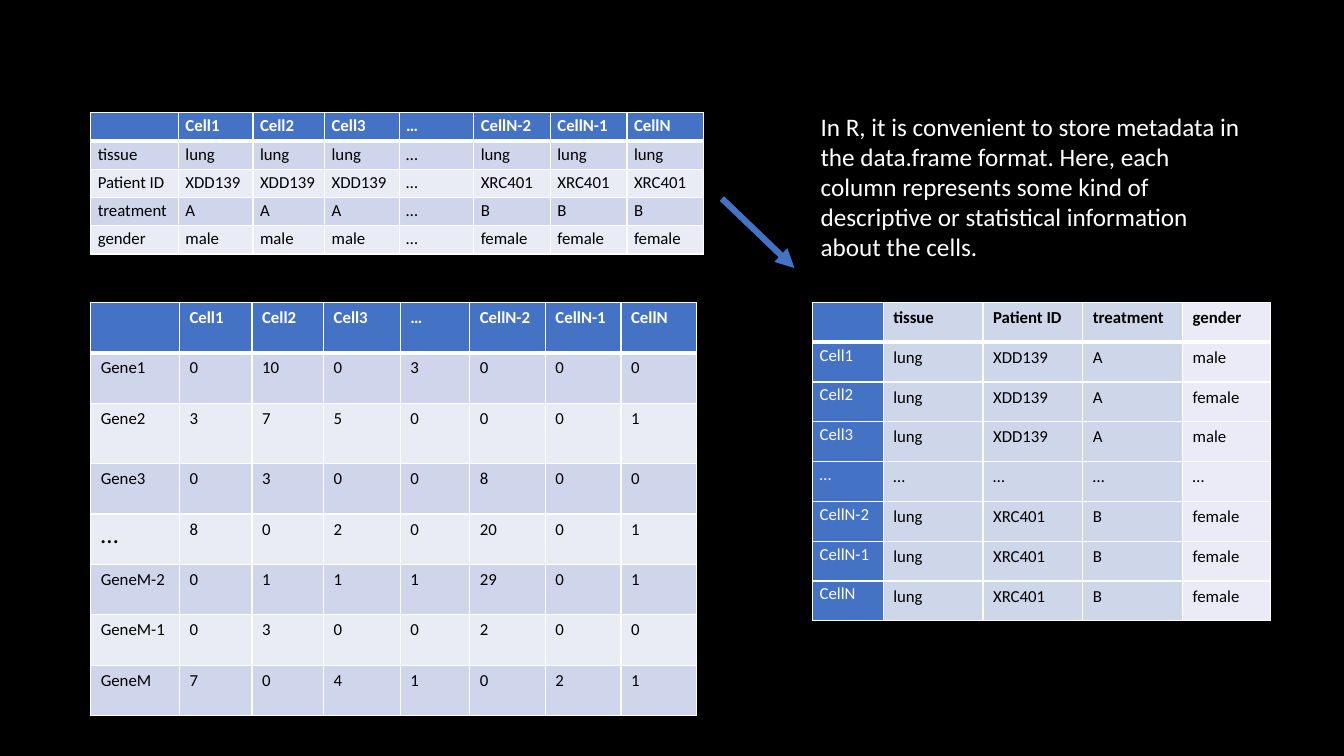
from dataclasses import dataclass

from lxml import etree
from pptx import Presentation
from pptx.dml.color import RGBColor
from pptx.enum.shapes import MSO_CONNECTOR
from pptx.enum.text import MSO_AUTO_SIZE
from pptx.oxml.ns import qn
from pptx.util import Inches, Pt

STRAIGHT = MSO_CONNECTOR.STRAIGHT
GROW = MSO_AUTO_SIZE.SHAPE_TO_FIT_TEXT


@dataclass(frozen=True)
class Theme:
    font: str = "Calibri"
    back: str = "000000"
    dark: str = "000000"
    light: str = "FFFFFF"
    blue: str = "4472C4"
    bands: tuple = ("E9EBF5", "CFD5EA")
    cols: tuple = ("EAEBF6", "CED6EA")
    small: int = 12
    large: int = 18
    thin: int = 1
    thick: int = 3
    arrow: float = 4.5


THEME = Theme()
WIDE = (0.1, 0.05)
TIGHT = (0.07, 0.03)

CELLS = ["Cell1", "Cell2", "Cell3", "…", "CellN-2", "CellN-1", "CellN"]
META = [
    ["", *CELLS],
    ["tissue", *["lung"] * 3, "…", *["lung"] * 3],
    ["Patient ID", *["XDD139"] * 3, "…", *["XRC401"] * 3],
    ["treatment", *"AAA", "…", *"BBB"],
    ["gender", *["male"] * 3, "…", *["female"] * 3],
]
COUNTS = [
    ["", *CELLS],
    ["Gene1", 0, 10, 0, 3, 0, 0, 0],
    ["Gene2", 3, 7, 5, 0, 0, 0, 1],
    ["Gene3", 0, 3, 0, 0, 8, 0, 0],
    ["…", 8, 0, 2, 0, 20, 0, 1],
    ["GeneM-2", 0, 1, 1, 1, 29, 0, 1],
    ["GeneM-1", 0, 3, 0, 0, 2, 0, 0],
    ["GeneM", 7, 0, 4, 1, 0, 2, 1],
]
# The data frame is the metadata turned on its side, with its own gender values
FRAME = [list(row) for row in zip(*META)]
FRAME[2][4] = "female"

NOTE = ("In R, it is convenient to store metadata in the data.frame format. "
        "Here, each column represents some kind of descriptive or statistical "
        "information about the cells.")


def rgb(code):
    return RGBColor.from_string(code)


def style(run, size, color, bold=False):
    run.font.name = THEME.font
    run.font.size = Pt(size)
    run.font.color.rgb = rgb(color)
    run.font.bold = bold


def edge(cell, side, width):
    line = etree.SubElement(cell._tc.get_or_add_tcPr(), qn("a:ln" + side),
                            w=str(Pt(width)))
    fill = etree.SubElement(line, qn("a:solidFill"))
    etree.SubElement(fill, qn("a:srgbClr"), val=THEME.light)


def band_look(row, col):
    """Blue header row above banded rows: fill, text colour, bold."""
    if row == 0:
        return THEME.blue, THEME.light, True
    return THEME.bands[row % 2], THEME.dark, False


def frame_look(row, col):
    """Blue first column beside tinted columns: fill, text colour, bold."""
    if col == 0:
        return THEME.blue, THEME.light, False
    return THEME.cols[col < 4], THEME.dark, row == 0


def fill_cell(cell, value, row, look, pad, size):
    color, ink, bold = look
    cell.margin_left = cell.margin_right = Inches(pad[0])
    cell.margin_top = cell.margin_bottom = Inches(pad[1])
    for side in "LRTB":
        rule = (side == "B" and row == 0) or (side == "T" and row == 1)
        edge(cell, side, THEME.thick if rule else THEME.thin)
    cell.fill.solid()
    cell.fill.fore_color.rgb = rgb(color)
    cell.text_frame.text = str(value)
    para = cell.text_frame.paragraphs[0]
    for run in para.runs:
        style(run, size, ink, bold)
    if not para.runs:
        # An empty cell keeps the small type size, so its row stays low
        etree.SubElement(para._p, qn("a:endParaRPr"), sz=str(size * 100))


def add_grid(slide, left, top, widths, heights, data, look, head, body,
             dots=THEME.small):
    """head and body are the insets of the first column and of the rest."""
    table = slide.shapes.add_table(
        len(data), len(widths), Inches(left), Inches(top),
        Inches(sum(widths)), Inches(sum(heights))).table
    for col, width in enumerate(widths):
        table.columns[col].width = Inches(width)
    for row, values in enumerate(data):
        table.rows[row].height = Inches(heights[row])
        for col, value in enumerate(values):
            pad = head if col == 0 and row > 0 else body
            size = dots if col == 0 and value == "…" else THEME.small
            fill_cell(table.cell(row, col), value, row, look(row, col),
                      pad, size)


def add_arrow(slide, x1, y1, x2, y2):
    arrow = slide.shapes.add_connector(
        STRAIGHT, Inches(x1), Inches(y1), Inches(x2), Inches(y2))
    arrow.line.color.rgb = rgb(THEME.blue)
    arrow.line.width = Pt(THEME.arrow)
    etree.SubElement(arrow.line._get_or_add_ln(), qn("a:tailEnd"),
                     type="triangle")
    etree.SubElement(arrow._element.spPr, qn("a:effectLst"))


def add_note(slide, left, top, width, height, text):
    frame = slide.shapes.add_textbox(
        Inches(left), Inches(top), Inches(width), Inches(height)).text_frame
    frame.word_wrap = True
    frame.auto_size = GROW
    frame.text = text
    style(frame.paragraphs[0].runs[0], THEME.large, THEME.light)


def main():
    deck = Presentation()
    deck.slide_width, deck.slide_height = Inches(13.33), Inches(7.5)
    slide = deck.slides.add_slide(deck.slide_layouts[6])
    slide.background.fill.solid()
    slide.background.fill.fore_color.rgb = rgb(THEME.back)

    # Gene counts, lower left
    add_grid(slide, 0.9, 3, [0.88, 0.72, 0.71, 0.76, 0.69, 0.75, 0.75, 0.75],
             [0.5, 0.5, 0.6] + [0.5] * 5, COUNTS, band_look, WIDE, WIDE,
             THEME.large)
    # Data frame, lower right
    add_grid(slide, 8.06, 3, [0.7, 0.99, 0.99, 0.99, 0.87], [0.395] * 8,
             FRAME, frame_look, TIGHT, WIDE)
    # Arrow and explanation
    add_arrow(slide, 7.16, 1.97, 7.88, 2.66)
    add_note(slide, 8.04, 1.05, 4.39, 1.62, NOTE)
    # Cell metadata, upper left
    add_grid(slide, 0.9, 1.12, [0.87, 0.74, 0.71, 0.74, 0.74, 0.76, 0.76, 0.76],
             [0.28] * 5, META, band_look, TIGHT, TIGHT)

    deck.save("out.pptx")


if __name__ == "__main__":
    main()
